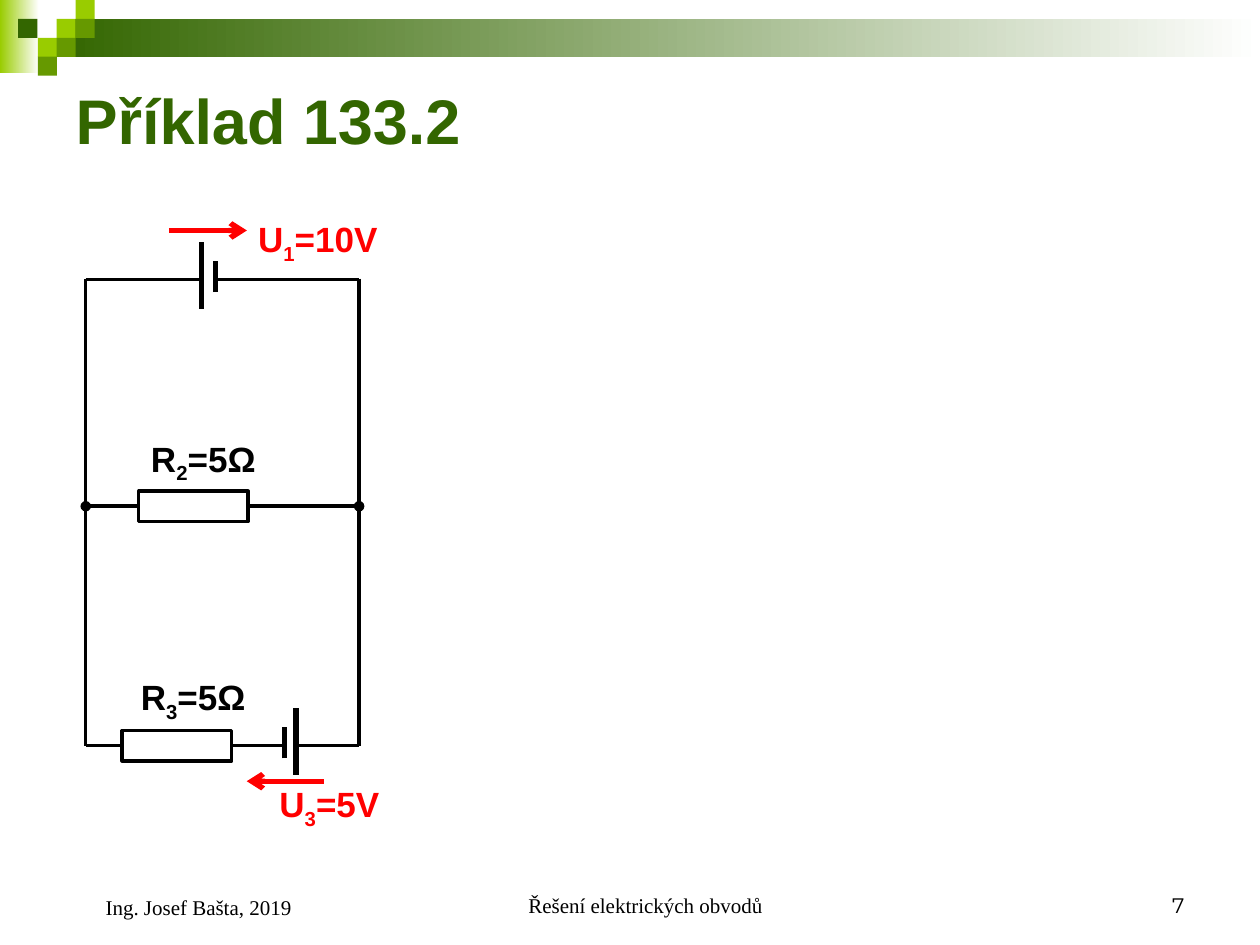
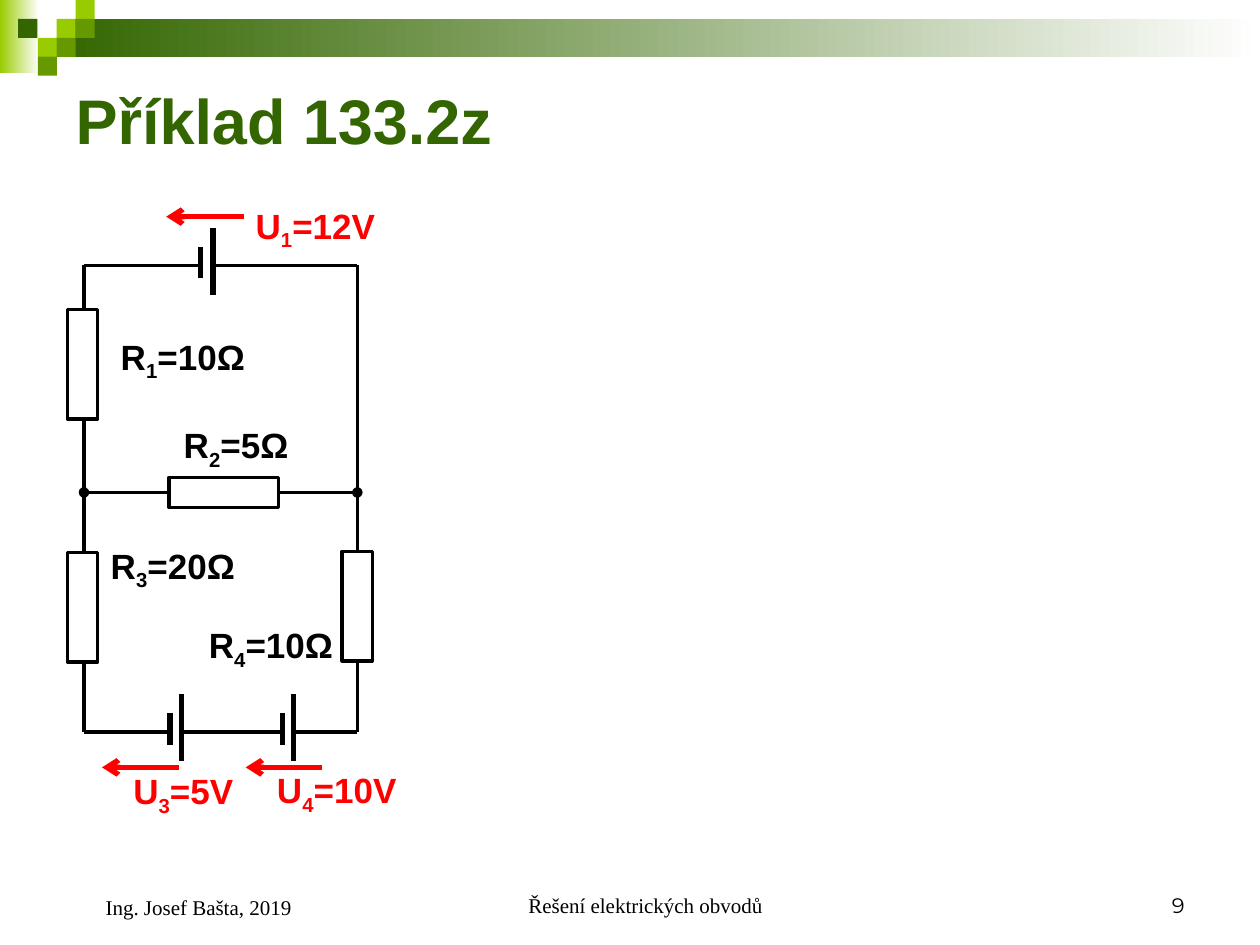
import pptx
import pptx.util
import pptx.dml.color
import pptx.enum.shapes
import pptx.enum.text
import lxml.etree
from pptx.oxml.ns import qn

Pt = pptx.util.Pt
RGB = pptx.dml.color.RGBColor.from_string
RECTANGLE = pptx.enum.shapes.MSO_SHAPE.RECTANGLE
ALIGN = pptx.enum.text.PP_ALIGN
ANCHOR = pptx.enum.text.MSO_ANCHOR

COLORS = {"dark": "336600", "mid": "669900", "lime": "99CC00",
          "white": "FFFFFF", "black": "000000", "red": "FF0000"}

# Circuit frame, measured from its top left corner
WIDTH, MIDDLE, BOTTOM = 156.2, 129.6, 266.4
RESISTOR_LENGTH, RESISTOR_THICKNESS = 62.6, 17.3

# wires: x1, y1, x2, y2, line ends with a node dot
# batteries: x of long plate, x of short plate, y
# arrows: x from, x to, y
# resistors: centre x, centre y, upright
# labels: symbol, index, value, x, y, width
CIRCUITS = [
    {
        "title": "Příklad 133.2", "number": "7", "origin": (49, 159.7),
        "wires": [(0, 0, 66.2, 0, ()), (74.1, 0, WIDTH, 0, ()),
                  (0, MIDDLE, 30.5, MIDDLE, ("headEnd",)),
                  (92.8, MIDDLE, WIDTH, MIDDLE, ("tailEnd",)),
                  (0, BOTTOM, 20.8, BOTTOM, ()),
                  (83.4, BOTTOM, 113.7, BOTTOM, ()),
                  (120.2, BOTTOM, WIDTH, BOTTOM, ())],
        "batteries": [(66.2, 74.1, 0), (120.2, 113.7, BOTTOM)],
        "arrows": [(47.5, 92.1, -28), (136, 92, 286.7)],
        "resistors": [(61.5, MIDDLE, False), (52.1, BOTTOM, False)],
        "labels": [("U", "1", "=10V", 91.4, -38.7, 92),
                   ("U", "3", "=5V", 103.6, 283.8, 77),
                   ("R", "2", "=5Ω", 30.2, 86.5, 78),
                   ("R", "3", "=5Ω", 22.4 + 2, 222.6, 86)],
    },
    {
        "title": "Příklad 133.2z", "number": "9", "origin": (48, 151.8),
        "wires": [(0, 0, 66.5, 0, ()), (73.7, 0, WIDTH, 0, ()),
                  (0, MIDDLE, WIDTH, MIDDLE, ("headEnd", "tailEnd")),
                  (0, BOTTOM, 49.2, BOTTOM, ()),
                  (55.7, BOTTOM, 113.3, BOTTOM, ()),
                  (119.8, BOTTOM, WIDTH, BOTTOM, ())],
        "batteries": [(73.7, 66.5, 0), (55.7, 49.2, BOTTOM),
                      (119.8, 113.3, BOTTOM)],
        "arrows": [(91.7, 47, -28), (54.2, 10.3, 286.7),
                   (136.3, 92.4, 286.7)],
        "resistors": [(-0.8, 56.3, True), (79.8, MIDDLE, False),
                      (-0.8, 195.2, True), (156.2, 194.5, True)],
        "labels": [("U", "1", "=12V", 91, -38.7, 92),
                   ("U", "3", "=5V", 21.1, 284.5, 77),
                   ("U", "4", "=10V", 103.2, 283.8, 88),
                   ("R", "1", "=10Ω", 13.9, 36.1, 96),
                   ("R", "2", "=5Ω", 49.9, 86.5, 78),
                   ("R", "3", "=20Ω", 8.2, 155.6, 88),
                   ("R", "4", "=10Ω", 64.3, 201, 91)],
    },
]

# Footer boxes: left, width, height, font, alignment, indent
FOOTERS = [(246.2, 228.2, 36, "Times New Roman", ALIGN.CENTER, 17.3),
           (516.2, 167.8, 36, "Montserrat", ALIGN.RIGHT, 0),
           (36, 167.8, 37.4, "Times New Roman", ALIGN.LEFT, 17.3)]


def add_line(slide, start, end, color, weight, ends=(), end_type="oval"):
    line = slide.shapes.add_connector(
        pptx.enum.shapes.MSO_CONNECTOR.STRAIGHT,
        Pt(start[0]), Pt(start[1]), Pt(end[0]), Pt(end[1]))
    line.line.color.rgb = RGB(COLORS[color])
    line.line.width = Pt(weight)
    properties = line._element.spPr
    for name in ends:
        lxml.etree.SubElement(properties.find(qn("a:ln")),
                              qn("a:" + name), type=end_type)
    lxml.etree.SubElement(properties, qn("a:effectLst"))


def format_runs(paragraph, font, size, color, bold=False):
    for run in paragraph.runs:
        run.font.name = font
        run.font.size = Pt(size)
        run.font.bold = bold
        run.font.color.rgb = RGB(COLORS[color])


presentation = pptx.Presentation()
presentation.slide_width, presentation.slide_height = Pt(720), Pt(540)
layout = presentation.slide_layouts[5]
slides = [presentation.slides.add_slide(layout) for circuit in CIRCUITS]

# Shared band and squares, moved to the slide master
BAND = [(0, 0, 22.3, 42, "lime", True), (32.4, 10.8, 687.6, 21.6, "dark", True)]
SQUARES = [(32.4, 10.8, "lime"), (43.2, 0, "lime"), (43.2, 10.8, "mid"),
           (21.6, 21.6, "lime"), (10.4, 10.8, "dark"), (32.4, 21.6, "mid"),
           (21.6, 32.4, "mid")]
BAND += [(left, top, 10.9, 10.9, color, False) for left, top, color in SQUARES]
master_tree = presentation.slide_master.shapes._spTree
for position, (left, top, width, height, color, fades) in enumerate(BAND):
    shape = slides[0].shapes.add_shape(RECTANGLE, Pt(left), Pt(top),
                                       Pt(width), Pt(height))
    shape.shadow.inherit = False
    shape.line.fill.background()
    if fades:
        shape.fill.gradient()
        shape.fill.gradient_angle = 0
        for stop, stop_color in zip(shape.fill.gradient_stops, (color, "white")):
            stop.color.rgb = RGB(COLORS[stop_color])
    else:
        shape.fill.solid()
        shape.fill.fore_color.rgb = RGB(COLORS[color])
    master_tree.insert(2 + position, shape._element)

for slide, circuit in zip(slides, CIRCUITS):
    x0, y0 = circuit["origin"]

    # Title
    title = slide.shapes.title
    title.left, title.top, title.width, title.height = Pt(36), Pt(36), Pt(648), Pt(64)
    title.text_frame.text = circuit["title"]
    title.text_frame.vertical_anchor = ANCHOR.MIDDLE
    title.text_frame.paragraphs[0].alignment = ALIGN.LEFT
    format_runs(title.text_frame.paragraphs[0], "Arial", 36, "dark", True)

    # Side rails and wires
    for x in (0, WIDTH):
        add_line(slide, (x0 + x, y0 - 0.5), (x0 + x, y0 + BOTTOM), "black", 2)
    for x1, y1, x2, y2, dots in circuit["wires"]:
        add_line(slide, (x0 + x1, y0 + y1), (x0 + x2, y0 + y2), "black", 2, dots)

    # Batteries and voltage arrows
    for long_x, short_x, y in circuit["batteries"]:
        for x, above, below in ((long_x, 21.6, 16.6), (short_x, 10.7, 7.3)):
            add_line(slide, (x0 + x, y0 + y + below), (x0 + x, y0 + y - above),
                     "black", 3)
    for x1, x2, y in circuit["arrows"]:
        add_line(slide, (x0 + x1, y0 + y), (x0 + x2, y0 + y), "red", 3,
                 ("tailEnd",), "arrow")

    # Resistors
    for x, y, upright in circuit["resistors"]:
        resistor = slide.shapes.add_shape(
            RECTANGLE, Pt(x0 + x - RESISTOR_LENGTH / 2),
            Pt(y0 + y - RESISTOR_THICKNESS / 2),
            Pt(RESISTOR_LENGTH), Pt(RESISTOR_THICKNESS))
        resistor.rotation = 270 if upright else 180
        resistor.shadow.inherit = False
        resistor.fill.solid()
        resistor.fill.fore_color.rgb = RGB(COLORS["white"])
        resistor.line.color.rgb = RGB(COLORS["black"])
        resistor.line.width = Pt(2)

    # Labels with a lowered index
    for symbol, index, value, x, y, width in circuit["labels"]:
        label = slide.shapes.add_textbox(Pt(x0 + x), Pt(y0 + y), Pt(width), Pt(34.6))
        label.text_frame.word_wrap = True
        paragraph = label.text_frame.paragraphs[0]
        for text in (symbol, index, value):
            paragraph.add_run().text = text
        format_runs(paragraph, "Arial", 20, "red" if symbol == "U" else "black", True)
        paragraph.runs[1]._r.get_or_add_rPr().set("baseline", "-25000")

    # Footers
    texts = ("Řešení elektrických obvodů", circuit["number"], "Ing. Josef Bašta, 2019")
    for text, (left, width, height, font, alignment, indent) in zip(texts, FOOTERS):
        footer = slide.shapes.add_textbox(Pt(left), Pt(491.8), Pt(width), Pt(height))
        footer.text_frame.word_wrap = True
        footer.text_frame.vertical_anchor = ANCHOR.BOTTOM
        footer.text_frame.text = text
        paragraph = footer.text_frame.paragraphs[0]
        paragraph.alignment = alignment
        paragraph._p.get_or_add_pPr().set("marL", str(Pt(indent)))
        format_runs(paragraph, font, 12, "black")

presentation.save("out.pptx")
